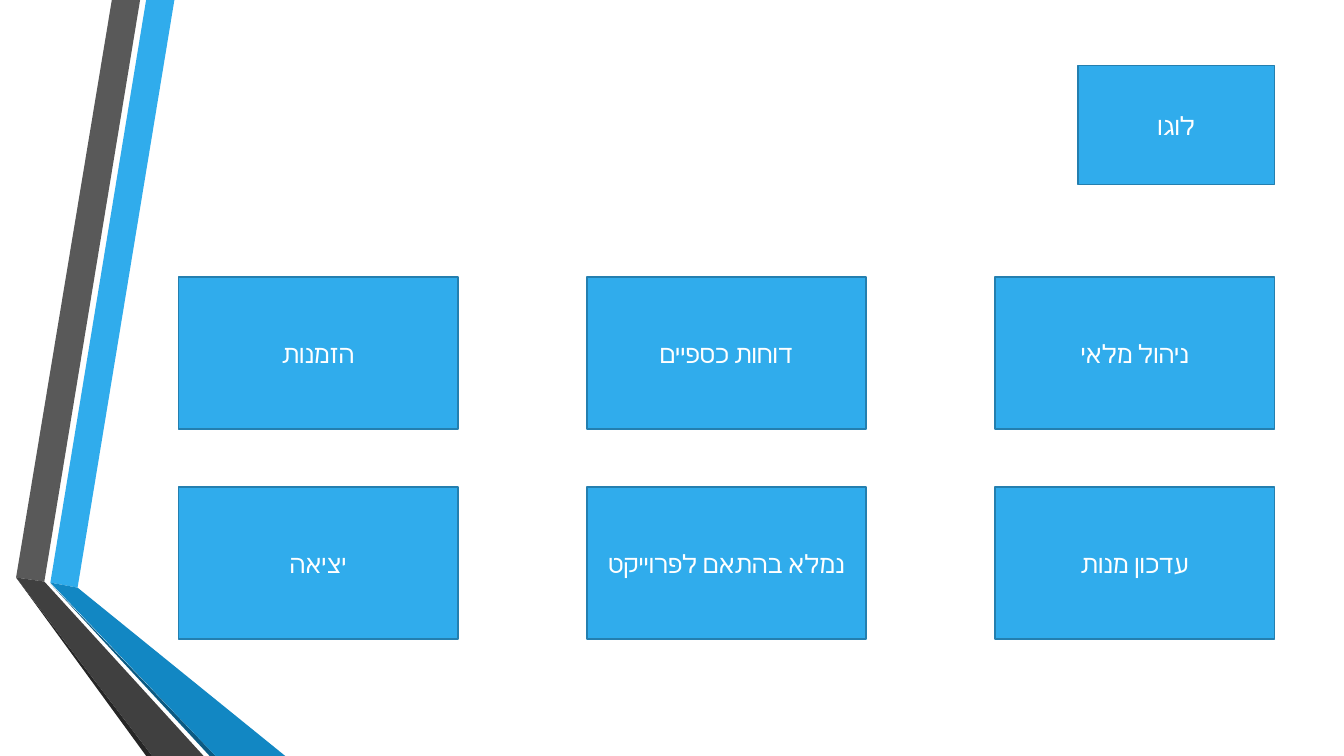
from dataclasses import dataclass

from lxml.etree import SubElement
from pptx import Presentation
from pptx.dml.color import RGBColor
from pptx.enum.shapes import MSO_SHAPE
from pptx.enum.text import MSO_ANCHOR, PP_ALIGN
from pptx.oxml.ns import qn
from pptx.shapes.autoshape import Shape
from pptx.slide import Slide
from pptx.util import Inches, Pt


@dataclass(frozen=True)
class Theme:
    font: str = "Cabin"
    size: float = 18
    edge: float = 1.25
    text: str = "FFFFFF"
    blue: str = "30ACEC"
    border: str = "247FAF"
    azure: str = "1287C3"
    navy: str = "0C5A82"
    gray: str = "595959"
    dark: str = "404040"
    black: str = "262626"


@dataclass(frozen=True)
class Ribbon:
    color: str
    points: tuple[tuple[float, float], ...]


@dataclass(frozen=True)
class Button:
    label: str
    left: float
    top: float
    width: float = 2.77
    height: float = 1.51


THEME = Theme()

# Folded ribbons along the left edge
RIBBONS = (
    Ribbon(THEME.blue, ((0.5, 5.78), (0.77, 5.83), (1.73, 0), (1.45, 0))),
    Ribbon(THEME.gray, ((1.39, 0), (1.11, 0), (0.16, 5.73), (0.44, 5.77))),
    Ribbon(THEME.black, ((0.16, 5.73), (1.45, 7.5), (1.51, 7.5))),
    Ribbon(THEME.navy, ((0.5, 5.79), (2.08, 7.5), (2.14, 7.5))),
    Ribbon(THEME.azure, ((0.5, 5.78), (2.14, 7.5), (2.83, 7.5), (0.77, 5.83))),
    Ribbon(THEME.dark, ((2.02, 7.5), (0.44, 5.77), (0.16, 5.73), (1.51, 7.5))),
)

# Menu grid, listed from right to left
LOGO = Button("לוגו", 10.69, 0.65, 1.95, 1.18)
MENU = (
    ("ניהול מלאי", "דוחות כספיים", "הזמנות"),
    ("עדכון מנות", "נמלא בהתאם לפרוייקט", "יציאה"),
)
RIGHT, TOP = 9.87, 2.75
STEP_X, STEP_Y = 4.05, 2.08


def paint(shape: Shape, color: str) -> None:
    shape.shadow.inherit = False
    shape.fill.solid()
    shape.fill.fore_color.rgb = RGBColor.from_string(color)


def apply(target: object, values: dict[str, object]) -> None:
    for name, value in values.items():
        setattr(target, name, value)


def draw_ribbon(slide: Slide, ribbon: Ribbon) -> None:
    start, *rest = [(Inches(x), Inches(y)) for x, y in ribbon.points]
    pen = slide.shapes.build_freeform(*start)
    pen.add_line_segments(rest, close=True)
    shape = pen.convert_to_shape()
    paint(shape, ribbon.color)
    shape.line.fill.background()


def draw_button(slide: Slide, button: Button) -> None:
    box = (button.left, button.top, button.width, button.height)
    shape = slide.shapes.add_shape(MSO_SHAPE.RECTANGLE, *map(Inches, box))
    paint(shape, THEME.blue)
    shape.line.color.rgb = RGBColor.from_string(THEME.border)
    shape.line.width = Pt(THEME.edge)

    frame = shape.text_frame
    apply(frame, {"word_wrap": True, "vertical_anchor": MSO_ANCHOR.MIDDLE})
    para = frame.paragraphs[0]
    para.alignment = PP_ALIGN.CENTER
    para._p.get_or_add_pPr().set("rtl", "1")
    run = para.add_run()
    run.text = button.label
    apply(run.font, {"name": THEME.font, "size": Pt(THEME.size)})
    run.font.color.rgb = RGBColor.from_string(THEME.text)
    # Hebrew takes its typeface from the complex-script font
    SubElement(run._r.get_or_add_rPr(), qn("a:cs"), typeface=THEME.font)


deck = Presentation()
apply(deck, {"slide_width": Inches(13.33), "slide_height": Inches(7.5)})
page = deck.slides.add_slide(deck.slide_layouts[6])

for ribbon in RIBBONS:
    draw_ribbon(page, ribbon)

draw_button(page, LOGO)
for row, labels in enumerate(MENU):
    for col, label in enumerate(labels):
        draw_button(page, Button(label, RIGHT - col * STEP_X, TOP + row * STEP_Y))

deck.save("out.pptx")
